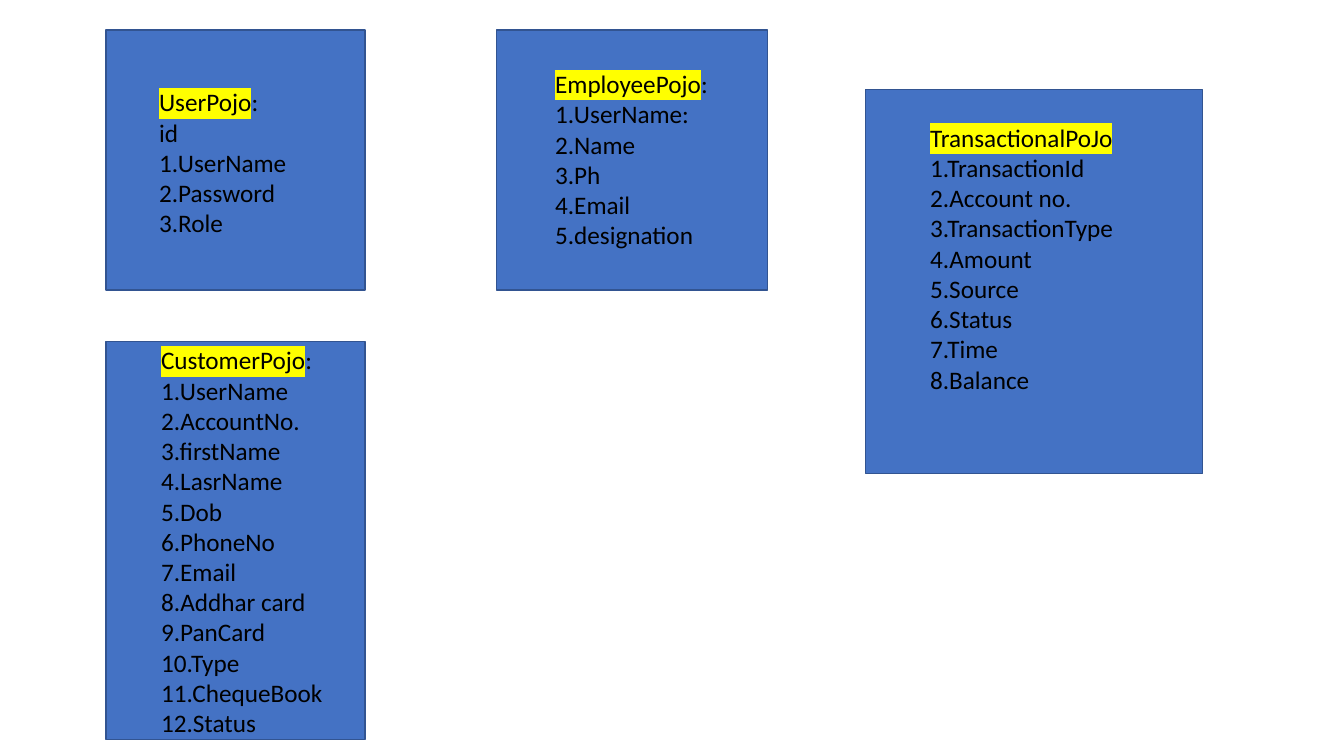
from lxml.etree import SubElement
from pptx import Presentation
from pptx.dml.color import RGBColor
from pptx.enum.shapes import MSO_SHAPE
from pptx.enum.text import MSO_AUTO_SIZE
from pptx.oxml.ns import qn
from pptx.util import Cm, Pt

COLOURS = {"card": "4472C4", "outline": "325491", "text": "000000", "marker": "FFFF00"}

CARDS = [
    {
        "box": (2.67, 0.76, 6.53, 6.55),
        "inset": (1.09, 1.3, 4.95, 4.88),
        "title": "UserPojo",
        "suffix": ":",
        "fields": ["id", "1.UserName", "2.Password", "3.Role"],
    },
    {
        "box": (12.52, 0.76, 6.83, 6.55),
        "inset": (1.22, 0.84, 4.39, 4.88),
        "title": "EmployeePojo",
        "suffix": ":",
        "fields": ["1.UserName:", "2.Name", "3.Ph", "4.Email", "5.designation"],
    },
    {
        "box": (2.67, 8.61, 6.53, 10.03),
        "inset": (1.14, -0.05, 4.88, 11.02),
        "title": "CustomerPojo",
        "suffix": ":",
        "fields": [
            "1.UserName", "2.AccountNo.", "3.firstName", "4.LasrName",
            "5.Dob", "6.PhoneNo", "7.Email", "8.Addhar card",
            "9.PanCard", "10.Type", "11.ChequeBook", "12.Status",
        ],
    },
    {
        "box": (21.82, 2.26, 8.48, 9.68),
        "inset": (1.37, 0.69, 5.69, 7.95),
        "title": "TransactionalPoJo",
        "suffix": "",
        "fields": [
            "1.TransactionId", "2.Account no.", "3.TransactionType", "4.Amount",
            "5.Source", "6.Status", "7.Time", "8.Balance",
        ],
    },
]


def colour(name):
    """Return the named palette colour."""
    return RGBColor.from_string(COLOURS[name])


def add_text(paragraph, text, size=18, font="Calibri", fill="text", marker=None):
    """Append a formatted run, optionally highlighted."""
    run = paragraph.add_run()
    run.text = text
    run.font.size = Pt(size)
    run.font.color.rgb = colour(fill)
    if marker:
        highlight = SubElement(run.font._element, qn("a:highlight"))
        SubElement(highlight, qn("a:srgbClr"), val=COLOURS[marker])
    run.font.name = font


def add_card(slide, box, inset, title, suffix, fields):
    """Draw a class card and its field list, inset from the card's corner."""
    left, top, width, height = box
    shape = slide.shapes.add_shape(
        MSO_SHAPE.RECTANGLE, Cm(left), Cm(top), Cm(width), Cm(height)
    )
    shape.shadow.inherit = False
    shape.fill.solid()
    shape.fill.fore_color.rgb = colour("card")
    shape.line.color.rgb = colour("outline")
    shape.line.width = Pt(1)

    across, down, text_width, text_height = inset
    text_box = slide.shapes.add_textbox(
        Cm(left + across), Cm(top + down), Cm(text_width), Cm(text_height)
    )
    frame = text_box.text_frame
    frame.word_wrap = True
    frame.auto_size = MSO_AUTO_SIZE.SHAPE_TO_FIT_TEXT
    heading = frame.paragraphs[0]
    add_text(heading, title, marker="marker")
    if suffix:
        add_text(heading, suffix)
    for field in fields:
        add_text(frame.add_paragraph(), field)


def main():
    """Build the slide of class cards and save it."""
    presentation = Presentation()
    presentation.slide_width = Cm(33.87)
    presentation.slide_height = Cm(19.05)
    slide = presentation.slides.add_slide(presentation.slide_layouts[6])
    for card in CARDS:
        add_card(slide, **card)
    presentation.save("out.pptx")


if __name__ == "__main__":
    main()
